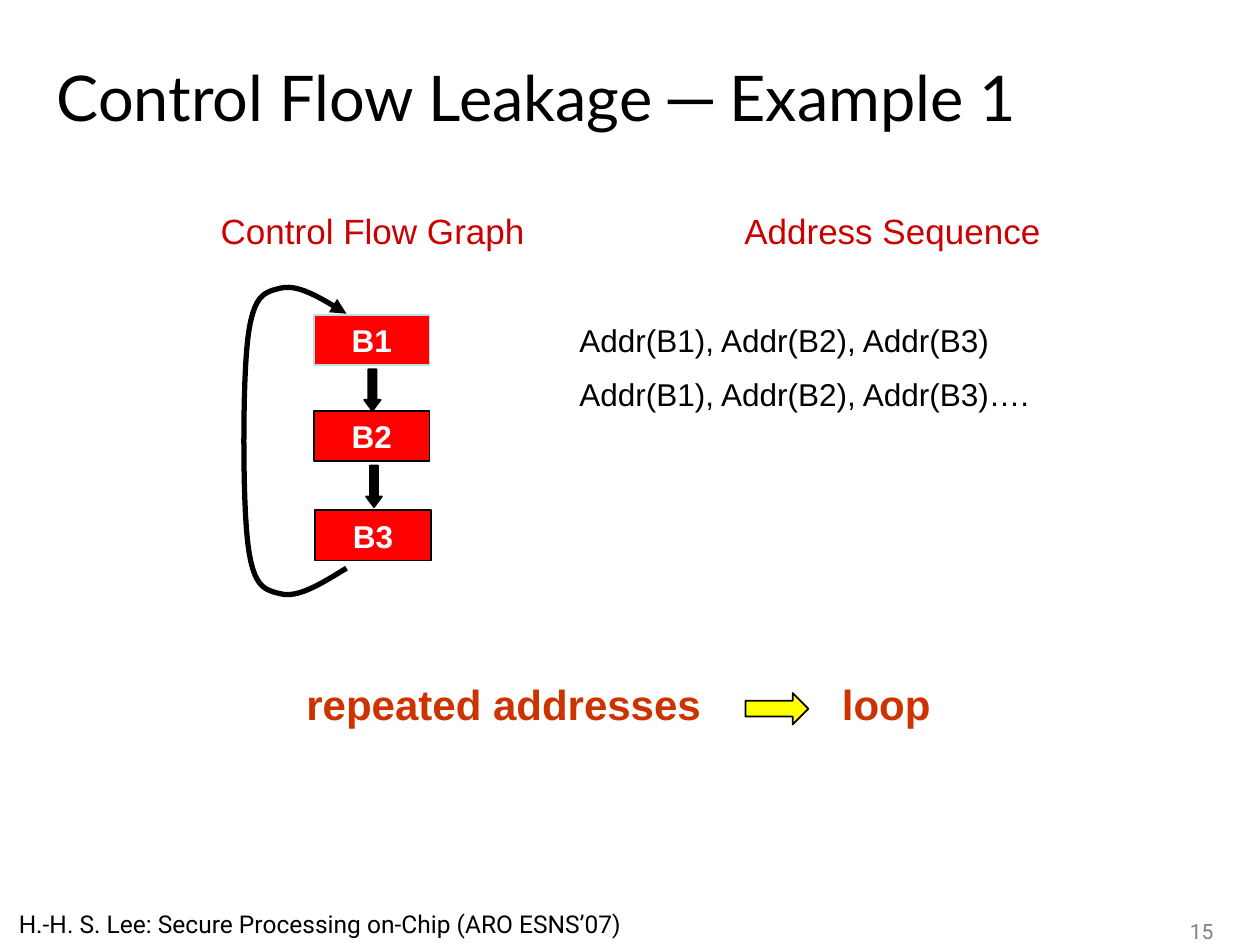
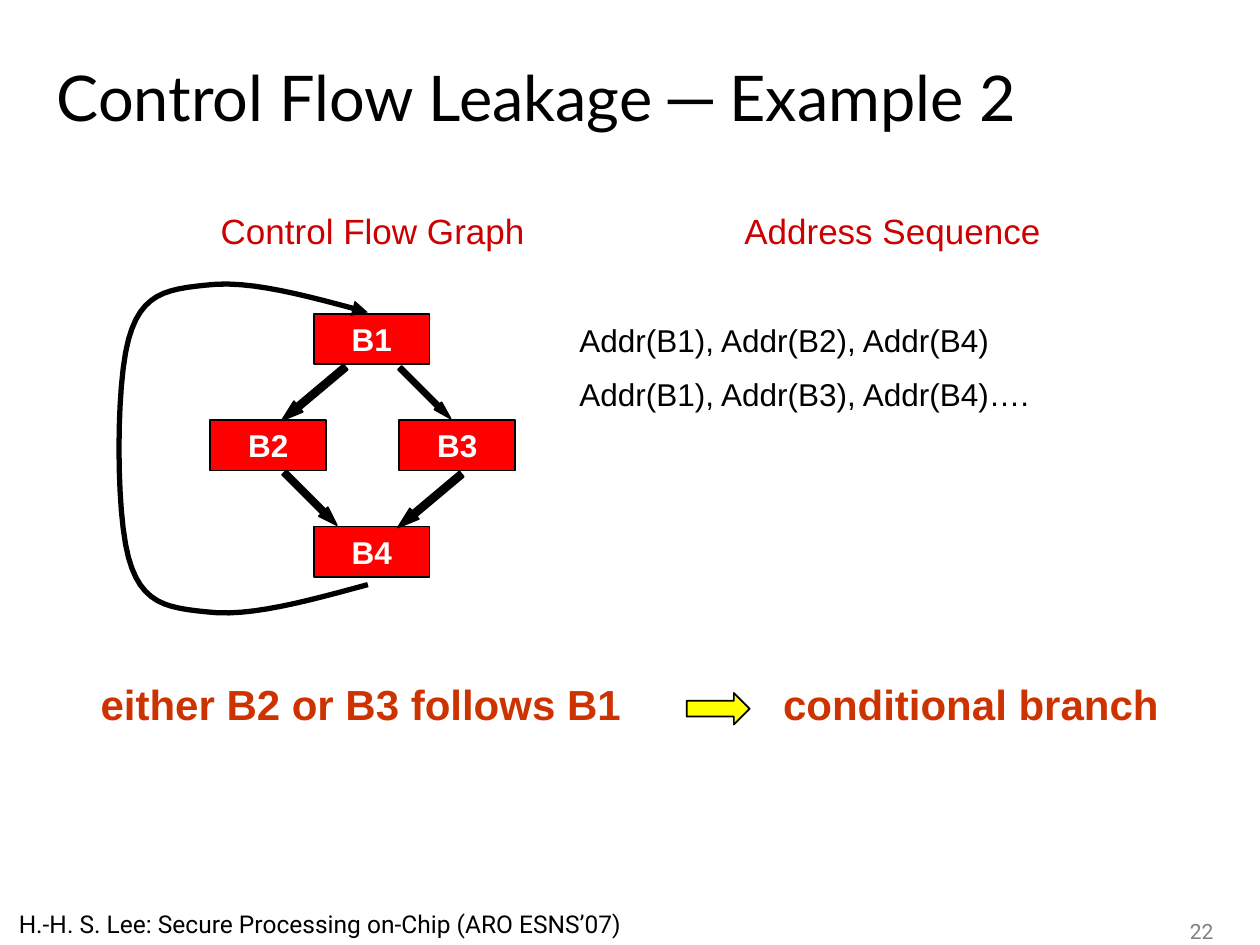
from pptx import Presentation
from pptx.dml.color import RGBColor
from pptx.enum import shapes, text
from pptx.oxml.ns import qn
from pptx.util import Pt
from lxml import etree

COLORS = {
    "ink": "000000", "white": "FFFFFF", "block": "FF0000", "pale": "BBE0E3",
    "heading": "CC0000", "conclusion": "CC3300", "implies": "FFFF00", "number": "808080",
}
FOOTER = "H.-H. S. Lee: Secure Processing on-Chip (ARO ESNS’07)"
BLOCK_WIDTH, BLOCK_HEIGHT = 66.2, 28.8
CONCLUSION_TOP = 384
# Upper half of the loop's Bezier points: leftward share of its reach, share of its half height
LOOP_HALF = [(0, 1), (0.24, 1.12), (0.47, 1.24), (0.64, 1.2),
             (0.8, 1.17), (0.9, 1.14), (0.95, 0.8), (1, 0.46)]
LOOP_STEPS = 12


def rgb(name):
    return RGBColor.from_string(COLORS[name])


def write(frame, content, size=18, font="Arial", color="ink", bold=False,
          align=text.PP_ALIGN.LEFT, anchor=text.MSO_ANCHOR.TOP, inset=(7.2, 3.6)):
    """Fill a frame with one line: a string, or a list of (string, font) runs."""
    frame.word_wrap = True
    frame.auto_size = text.MSO_AUTO_SIZE.NONE
    frame.vertical_anchor = anchor
    frame.margin_left = frame.margin_right = Pt(inset[0])
    frame.margin_top = frame.margin_bottom = Pt(inset[1])
    line = frame.paragraphs[0]
    line.alignment = align
    for words, face in [(content, font)] if isinstance(content, str) else content:
        run = line.add_run()
        run.text = words
        run.font.name, run.font.size, run.font.bold = face, Pt(size), bold
        run.font.color.rgb = rgb(color)


def bezier(start, first, second, end, t):
    return tuple((1 - t) ** 3 * a + 3 * (1 - t) ** 2 * t * b + 3 * (1 - t) * t ** 2 * c + t ** 3 * d
                 for a, b, c, d in zip(start, first, second, end))


class Deck:
    def __init__(self):
        self.file = Presentation()
        self.file.slide_width, self.file.slide_height = Pt(720), Pt(540)
        self.slide = None

    def start(self, example, number):
        """Add a slide with the title, headings, footer and number all slides share."""
        self.slide = self.file.slides.add_slide(self.file.slide_layouts[5])
        title = self.slide.shapes.title
        title.left, title.top, title.width, title.height = Pt(25.2), Pt(25.2), Pt(648), Pt(59.8)
        write(title.text_frame,
              [("Control Flow Leakage ", "Lato"), ("─", "Arial"), (f" Example {example}", "Lato")],
              size=36, anchor=text.MSO_ANCHOR.MIDDLE)
        for heading, left in (("Control Flow Graph", 123), ("Address Sequence", 420)):
            self.label(heading, left, 120, 180, 30, size=20, color="heading",
                       align=text.PP_ALIGN.CENTER, inset=(0, 0))
        self.label(FOOTER, -6, 516.2, 378, 24.5, size=14, font="Roboto",
                   align=text.PP_ALIGN.CENTER)
        self.label(str(number), 653, 521.3, 47.5, 12.2, size=12, font="Roboto",
                   color="number", align=text.PP_ALIGN.RIGHT)

    def label(self, words, left, top, width, height, **style):
        box = self.slide.shapes.add_textbox(Pt(left), Pt(top), Pt(width), Pt(height))
        write(box.text_frame, words, **style)
        return box

    def preset(self, kind, left, top, width, height, fill, line="ink"):
        shape = self.slide.shapes.add_shape(kind, Pt(left), Pt(top), Pt(width), Pt(height))
        shape.shadow.inherit = False
        shape.fill.solid()
        shape.fill.fore_color.rgb = rgb(fill)
        shape.line.color.rgb = rgb(line)
        shape.line.width = Pt(1)
        return shape

    def block(self, name, left, top, line="ink"):
        block = self.preset(shapes.MSO_SHAPE.RECTANGLE, left, top, BLOCK_WIDTH, BLOCK_HEIGHT,
                            "block", line)
        write(block.text_frame, name, color="white", bold=True,
              align=text.PP_ALIGN.CENTER, anchor=text.MSO_ANCHOR.MIDDLE)

    def arrow(self, left, top, width, height, angle=0, head=0.5, fill="ink"):
        arrow = self.preset(shapes.MSO_SHAPE.RIGHT_ARROW, left, top, width, height, fill)
        arrow.adjustments[0], arrow.adjustments[1] = 0.5, head
        arrow.rotation = angle
        return arrow

    def loop(self, right, middle, reach, half_height):
        """Draw the back edge from the last block up to the first one."""
        upper = [(right - x * reach, middle - y * half_height) for x, y in LOOP_HALF]
        points = [(x, 2 * middle - y) for x, y in upper] + upper[::-1]
        curve = [bezier(*points[i:i + 4], step / LOOP_STEPS)
                 for i in range(0, len(points) - 1, 3) for step in range(1, LOOP_STEPS + 1)]
        outline = self.slide.shapes.build_freeform(Pt(points[0][0]), Pt(points[0][1]))
        outline.add_line_segments([(Pt(x), Pt(y)) for x, y in curve], close=False)
        edge = outline.convert_to_shape()
        edge.shadow.inherit = False
        edge.fill.background()
        edge.line.color.rgb = rgb("ink")
        edge.line.width = Pt(3)
        etree.SubElement(edge.line._get_or_add_ln(), qn("a:tailEnd"), type="triangle")

    def addresses(self, *sequences):
        for row, sequence in enumerate(sequences):
            self.label(sequence, 324, 179.3 + 31 * row, 384, 29.5,
                       anchor=text.MSO_ANCHOR.MIDDLE)

    def conclusion(self, evidence, finding):
        """Each side is (words, left, width); the arrow stands before the finding."""
        sides = [self.label(words, left, CONCLUSION_TOP, width, 36, size=24,
                            color="conclusion", bold=True)
                 for words, left, width in (evidence, finding)]
        implies = self.arrow(finding[1] - 48, CONCLUSION_TOP + 12, 36, 18, fill="implies")
        self.slide.shapes.add_group_shape(sides + [implies])


def loop_example(deck):
    deck.start(1, 15)
    deck.block("B1", 179.3, 180, line="pale")
    deck.block("B2", 179.3, 234.7)
    deck.block("B3", 180, 291.6)
    deck.arrow(200.9, 218.2, 23.8, 9.4, angle=90, head=0.67)
    deck.arrow(201.8, 273.4, 23.8, 9, angle=90, head=0.67)
    deck.loop(198, 252, 59.4, 72.7)
    deck.addresses("Addr(B1), Addr(B2), Addr(B3)", "Addr(B1), Addr(B2), Addr(B3)….")
    deck.conclusion(("repeated addresses", 168, 246), ("loop", 474, 84))


def branch_example(deck):
    deck.start(2, 22)
    center, top, row = 179.3, 179.3, 60.8
    for name, left, level in (("B1", center, 0), ("B2", 120.2, 1),
                              ("B3", 228.2, 1), ("B4", center, 2)):
        deck.block(name, left, top + level * row)
    deck.loop(210.2, 256.3, 144, 77.8)
    deck.arrow(222.5, 221.8, 41, 5.8, angle=45, head=1.75)
    deck.arrow(156.2, 281.5, 42.5, 7.2, angle=45, head=1.51)
    for left, arrow_top in ((221.8, 282.2), (155.5, 221)):
        deck.arrow(left, arrow_top, 47.5, 7.9, angle=140, head=1.55)
    deck.addresses("Addr(B1), Addr(B2), Addr(B4)", "Addr(B1), Addr(B3), Addr(B4)….")
    deck.conclusion(("either B2 or B3 follows B1", 50.4, 330), ("conditional branch", 440.4, 237))


def main():
    deck = Deck()
    loop_example(deck)
    branch_example(deck)
    deck.file.save("out.pptx")


if __name__ == "__main__":
    main()
